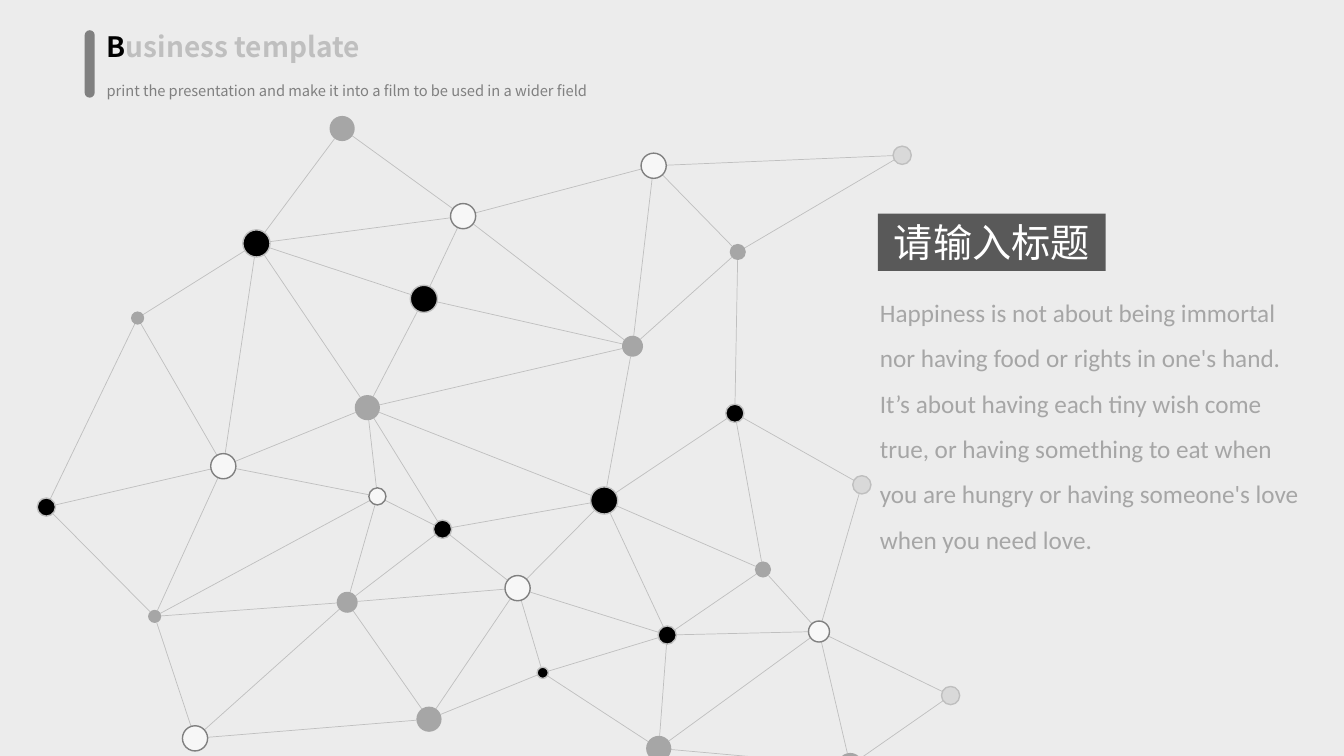
import math

from lxml import etree
from pptx import Presentation
from pptx import util as u
from pptx.dml import color
from pptx.enum import shapes, text
from pptx.oxml import ns


def rgb(value):
    return color.RGBColor.from_string(value)


def write(sp, runs, align=text.PP_ALIGN.LEFT, spacing=1.0, anchor=text.MSO_ANCHOR.TOP):
    tf = sp.text_frame
    frame = {
        "word_wrap": True,
        "auto_size": text.MSO_AUTO_SIZE.SHAPE_TO_FIT_TEXT,
        "vertical_anchor": anchor,
        "margin_left": u.Pt(7.2),
        "margin_right": u.Pt(7.2),
        "margin_top": u.Pt(3.6),
        "margin_bottom": u.Pt(3.6),
    }
    for name, value in frame.items():
        setattr(tf, name, value)
    p = tf.paragraphs[0]
    p.alignment = align
    p.line_spacing = spacing
    for words, font, size, tone, bold in runs:
        r = p.add_run()
        r.text = words
        for name, value in {"name": font, "size": u.Pt(size), "bold": bold}.items():
            setattr(r.font, name, value)
        r.font.color.rgb = rgb(tone)


prs = Presentation()
prs.slide_width, prs.slide_height = u.Pt(960), u.Pt(540)
s = prs.slides.add_slide(prs.slide_layouts[5])
s.background.fill.solid()
s.background.fill.fore_color.rgb = rgb("ECECEC")

styles = {
    "black": ("000000", "BFBFBF"),
    "white": ("F7F7F7", "808080"),
    "gray": ("A6A6A6", None),
    "light": ("D9D9D9", "BFBFBF"),
}
nodes = {
    "a": (33.1, 362.2, 13, "black"),
    "b": (431.6, 357.5, 19.4, "black"),
    "c": (316.1, 378, 13, "black"),
    "d": (476.6, 453.6, 13, "black"),
    "e": (387.7, 480.6, 8, "black"),
    "f": (302.8, 213.5, 19.4, "black"),
    "g": (183.2, 173.9, 19.4, "black"),
    "h": (524.9, 295.2, 13, "black"),
    "i": (159.5, 333, 18, "white"),
    "j": (369.7, 420.1, 18, "white"),
    "k": (269.6, 354.6, 12.2, "white"),
    "l": (585, 451.1, 15, "white"),
    "m": (139.3, 527.4, 18, "white"),
    "n": (330.8, 154.4, 18, "white"),
    "o": (466.9, 118.4, 18, "white"),
    "p": (248, 430.2, 15, "gray"),
    "q": (110.5, 440.3, 9.4, "gray"),
    "r": (545, 406.8, 11.5, "gray"),
    "s": (470.5, 534.6, 18, "gray"),
    "t": (306.4, 513.7, 18, "gray"),
    "u": (607.3, 546.8, 18, "gray"),
    "v": (244.4, 91.8, 18, "gray"),
    "w": (451.8, 247.3, 15, "gray"),
    "x": (527, 180, 11.5, "gray"),
    "y": (98.3, 227.2, 9.4, "gray"),
    "z": (262.4, 291.2, 18, "gray"),
    "A": (615.6, 346.3, 13, "light"),
    "B": (644.4, 110.9, 13, "light"),
    "C": (679, 496.8, 13, "light"),
}
edges = (
    "aq qi iz pk kc bc bz cz bj rh qp cp zk Ah Al lr "
    "mt mp mq bd br rd ld sd cj pj ej ed jd tp ik ai "
    "yi ay hb tj te es kq xh us ls Cu Cl ul yg ig fg "
    "zf gz no nf bw zw fw wx ow nw ng xo Bx Bo gv nv"
)

for start, end in edges.split():
    x1, y1, d1, _ = nodes[start]
    x2, y2, d2, _ = nodes[end]
    length = math.dist((x1, y1), (x2, y2))
    dx, dy = (x2 - x1) / length, (y2 - y1) / length
    line = s.shapes.add_connector(
        shapes.MSO_CONNECTOR.STRAIGHT,
        u.Pt(x1 + dx * d1 / 2), u.Pt(y1 + dy * d1 / 2),
        u.Pt(x2 - dx * d2 / 2), u.Pt(y2 - dy * d2 / 2),
    )
    line.line.width = u.Pt(0.5)
    line.line.color.rgb = rgb("BFBFBF")
    etree.SubElement(line._element.spPr, ns.qn("a:effectLst"))

for x, y, d, style in nodes.values():
    fill, outline = styles[style]
    sp = s.shapes.add_shape(
        shapes.MSO_SHAPE.OVAL, u.Pt(x - d / 2), u.Pt(y - d / 2), u.Pt(d), u.Pt(d)
    )
    sp.shadow.inherit = False
    sp.fill.solid()
    sp.fill.fore_color.rgb = rgb(fill)
    if outline:
        sp.line.width = u.Pt(1)
        sp.line.color.rgb = rgb(outline)
    else:
        sp.line.fill.background()

bar = s.shapes.add_shape(
    shapes.MSO_SHAPE.ROUNDED_RECTANGLE, u.Pt(60.5), u.Pt(21.6), u.Pt(7.2), u.Pt(48.2)
)
bar.adjustments[0] = 0.5
label = s.shapes.add_shape(
    shapes.MSO_SHAPE.RECTANGLE, u.Pt(627.1), u.Pt(152.6), u.Pt(162.7), u.Pt(41)
)
for sp, fill in ((bar, "808080"), (label, "595959")):
    sp.shadow.inherit = False
    sp.fill.solid()
    sp.fill.fore_color.rgb = rgb(fill)
    sp.line.fill.background()
write(label, [("请输入标题", "Arial", 28, "FFFFFF", False)],
      align=text.PP_ALIGN.CENTER, anchor=text.MSO_ANCHOR.MIDDLE)

title = s.shapes.title
place = {"left": 69.1, "top": 17.3, "width": 259.2, "height": 31.7}
for name, value in place.items():
    setattr(title, name, u.Pt(value))
write(title, [
    ("B", "Noto Sans CJK SC", 20, "000000", True),
    ("usiness template", "Noto Sans CJK SC", 20, "BFBFBF", True),
])

subtitle = s.shapes.add_textbox(u.Pt(69.1), u.Pt(52.6), u.Pt(384.5), u.Pt(21.6))
write(subtitle, [(
    "print the presentation and make it into a film to be used in a wider field",
    "Noto Sans CJK SC", 10.5, "808080", False,
)], spacing=1.2)

body = s.shapes.add_textbox(u.Pt(621.4), u.Pt(198), u.Pt(316.8), u.Pt(265.7))
write(body, [(
    "Happiness is not about being immortal nor having food or rights in one's hand. "
    "It’s about having each tiny wish come true, or having something to eat when "
    "you are hungry or having someone's love when you need love.",
    "Calibri", 18, "A6A6A6", False,
)], spacing=1.5)

prs.save("out.pptx")
